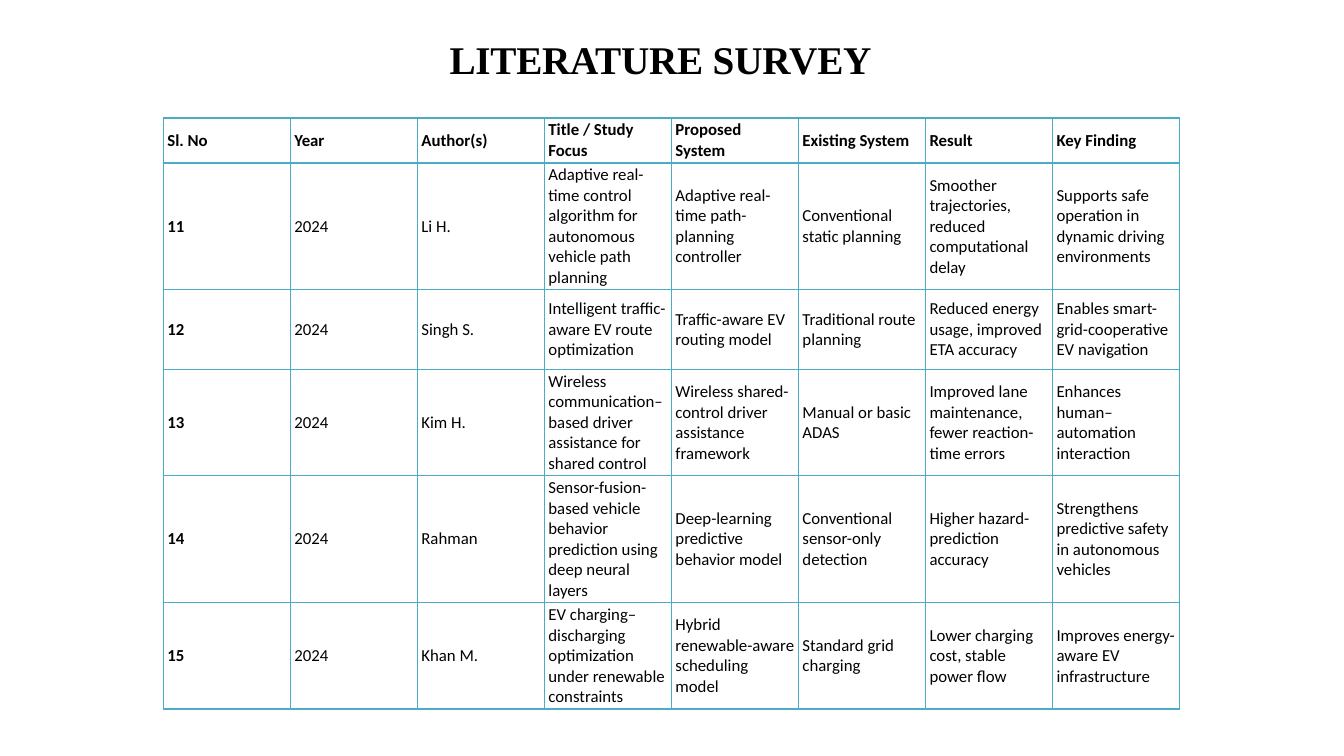
import dataclasses

import lxml.etree
import pptx
import pptx.dml.color
import pptx.enum.text
import pptx.oxml.ns
import pptx.util
from pptx.util import Inches


@dataclasses.dataclass(frozen=True)
class Theme:
    text: str = "000000"
    border: str = "4BACC6"
    title_font: str = "Times New Roman"
    table_font: str = "Calibri"
    title_size: float = 28
    table_size: float = 12
    border_width: float = 1


THEME = Theme()

HEADINGS = ["Sl. No", "Year", "Author(s)", "Title / Study Focus", "Proposed System",
            "Existing System", "Result", "Key Finding"]
STUDIES = [
    ["11", "2024", "Li H.",
     "Adaptive real-time control algorithm for autonomous vehicle path planning",
     "Adaptive real-time path-planning controller", "Conventional static planning",
     "Smoother trajectories, reduced computational delay",
     "Supports safe operation in dynamic driving environments"],
    ["12", "2024", "Singh S.", "Intelligent traffic-aware EV route optimization",
     "Traffic-aware EV routing model", "Traditional route planning",
     "Reduced energy usage, improved ETA accuracy",
     "Enables smart-grid-cooperative EV navigation"],
    ["13", "2024", "Kim H.",
     "Wireless communication–based driver assistance for shared control",
     "Wireless shared-control driver assistance framework", "Manual or basic ADAS",
     "Improved lane maintenance, fewer reaction-time errors",
     "Enhances human–automation interaction"],
    ["14", "2024", "Rahman",
     "Sensor-fusion-based vehicle behavior prediction using deep neural layers",
     "Deep-learning predictive behavior model", "Conventional sensor-only detection",
     "Higher hazard-prediction accuracy",
     "Strengthens predictive safety in autonomous vehicles"],
    ["15", "2024", "Khan M.",
     "EV charging–discharging optimization under renewable constraints",
     "Hybrid renewable-aware scheduling model", "Standard grid charging",
     "Lower charging cost, stable power flow",
     "Improves energy-aware EV infrastructure"],
]
ROW_HEIGHTS = [0.29, 1.04, 0.79, 0.92, 1.17, 0.92]


def add_run(paragraph, text, font_name, size, bold):
    run = paragraph.add_run()
    run.text = text
    run.font.name = font_name
    run.font.size = pptx.util.Pt(size)
    run.font.bold = bold
    run.font.color.rgb = pptx.dml.color.RGBColor.from_string(THEME.text)
    return run


def add_title(slide, left, top, width, height):
    title = slide.shapes.title
    title.left, title.top = Inches(left), Inches(top)
    title.width, title.height = Inches(width), Inches(height)
    frame = title.text_frame
    frame.margin_left = frame.margin_right = frame.margin_bottom = 0
    frame.margin_top = Inches(0.01)
    frame.vertical_anchor = pptx.enum.text.MSO_ANCHOR.BOTTOM
    paragraph = frame.paragraphs[0]
    paragraph.alignment = pptx.enum.text.PP_ALIGN.LEFT
    for text, spacing in (("LITERATURE ", -20), ("SURVEY", -10)):
        run = add_run(paragraph, text, THEME.title_font, THEME.title_size, True)
        run.font._element.set("spc", str(spacing))


def add_borders(cell):
    """Draw all four sides of a cell; lines must come before the cell's fill."""
    properties = cell._tc.get_or_add_tcPr()
    for position, side in enumerate(("lnL", "lnR", "lnT", "lnB")):
        line = lxml.etree.Element(pptx.oxml.ns.qn(f"a:{side}"))
        line.set("w", str(pptx.util.Pt(THEME.border_width)))
        fill = lxml.etree.SubElement(line, pptx.oxml.ns.qn("a:solidFill"))
        color = lxml.etree.SubElement(fill, pptx.oxml.ns.qn("a:srgbClr"))
        color.set("val", THEME.border)
        properties.insert(position, line)


def fill_cell(cell, text, bold):
    cell.fill.background()
    cell.vertical_anchor = pptx.enum.text.MSO_ANCHOR.MIDDLE
    cell.margin_left = cell.margin_right = Inches(0.04)
    cell.margin_top = cell.margin_bottom = Inches(0.02)
    add_run(cell.text_frame.paragraphs[0], text, THEME.table_font, THEME.table_size, bold)
    add_borders(cell)


def add_survey_table(slide, left, top, width, height):
    rows = [HEADINGS] + STUDIES
    table_shape = slide.shapes.add_table(
        len(rows), len(HEADINGS), Inches(left), Inches(top), Inches(width), Inches(height))
    table = table_shape.table
    table.horz_banding = False
    for column in table.columns:
        column.width = Inches(width / len(HEADINGS))
    for row_index, (texts, row_height) in enumerate(zip(rows, ROW_HEIGHTS)):
        table.rows[row_index].height = Inches(row_height)
        for column_index, text in enumerate(texts):
            bold = row_index == 0 or column_index == 0
            fill_cell(table.cell(row_index, column_index), text, bold)
    table_shape.height = Inches(height)


def main():
    presentation = pptx.Presentation()
    presentation.slide_width = Inches(13.33)
    presentation.slide_height = Inches(7.5)
    slide = presentation.slides.add_slide(presentation.slide_layouts.get_by_name("Title Only"))
    add_title(slide, 4.46, 0.33, 4.42, 0.49)
    add_survey_table(slide, 1.62, 1.17, 10.08, 5.8)
    presentation.save("out.pptx")


if __name__ == "__main__":
    main()
